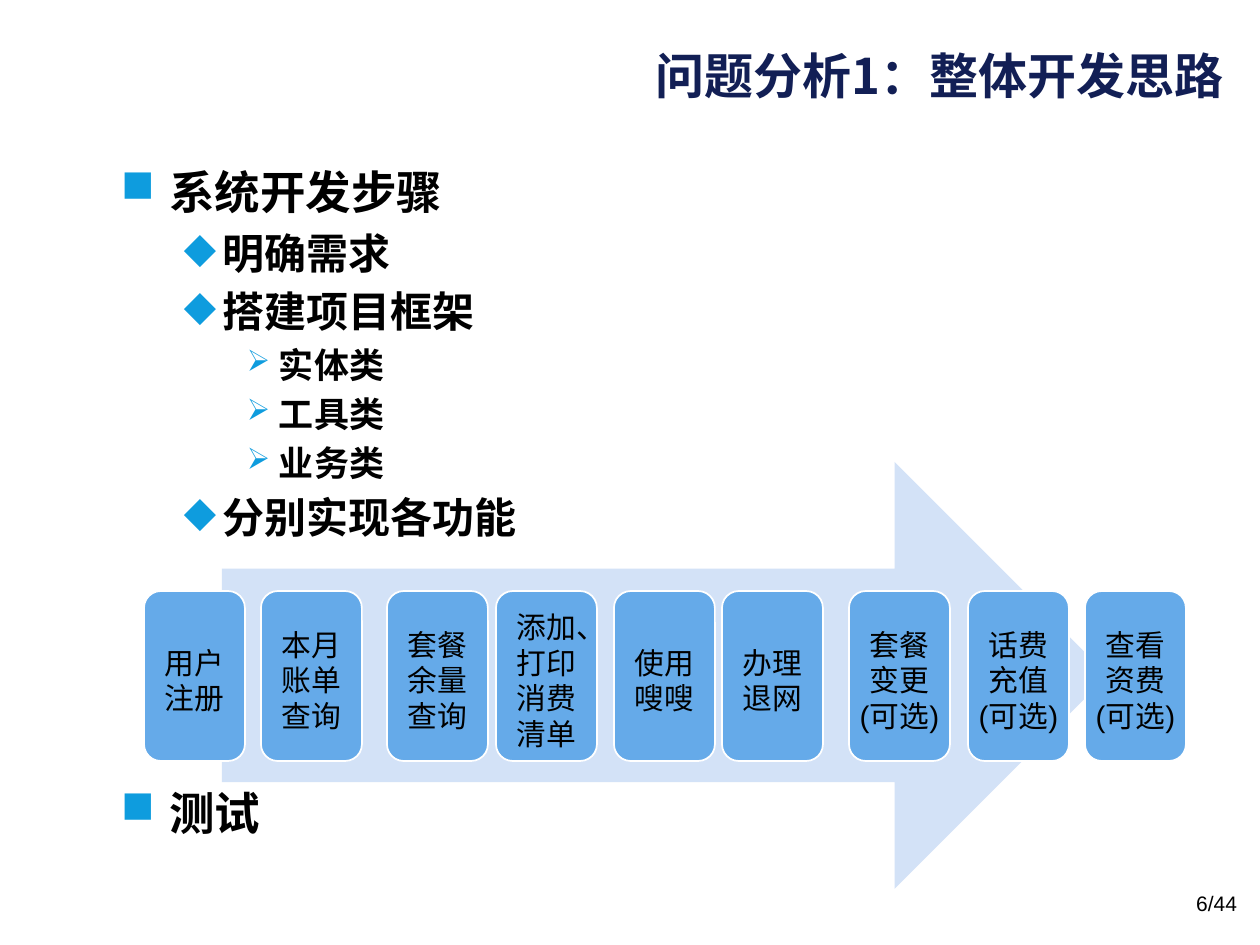
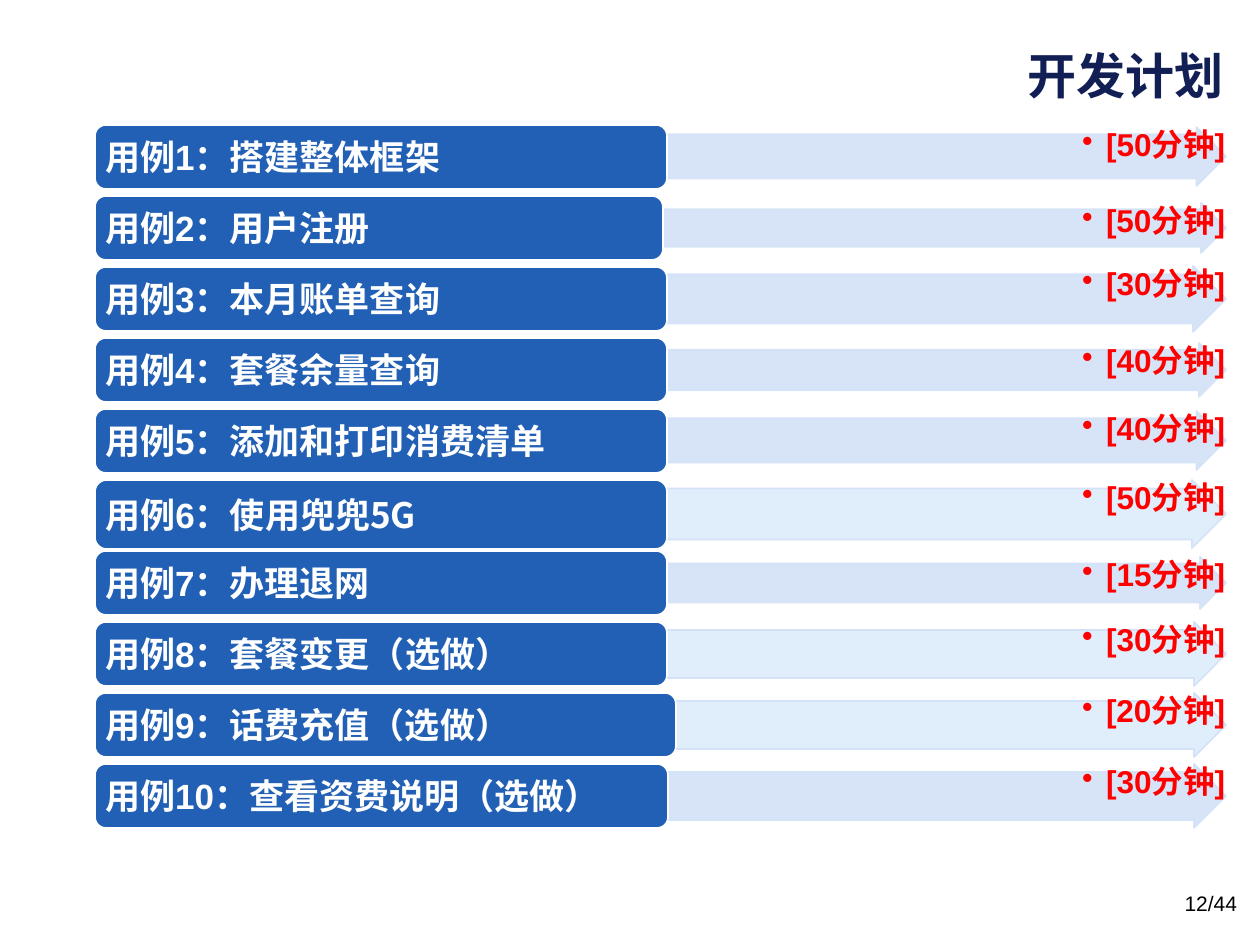
from pptx import Presentation
from pptx.dml.color import RGBColor
from pptx.enum.shapes import MSO_SHAPE
from pptx.enum.text import MSO_ANCHOR, PP_ALIGN
from pptx.oxml.ns import qn
from pptx.util import Emu, Pt
from lxml import etree

RECTANGLE = MSO_SHAPE.RECTANGLE
ROUNDED = MSO_SHAPE.ROUNDED_RECTANGLE
RIGHT_ARROW = MSO_SHAPE.RIGHT_ARROW
LEFT, CENTER, RIGHT = PP_ALIGN.LEFT, PP_ALIGN.CENTER, PP_ALIGN.RIGHT
TOP, MIDDLE = MSO_ANCHOR.TOP, MSO_ANCHOR.MIDDLE

PX_PER_INCH = 126
BODY_FONT, CJK_FONT = "Arial", "Noto Sans CJK SC"
WHITE, BLACK, RED = "FFFFFF", "000000", "FF0000"
NAVY, BULLET_BLUE = "121F55", "0E9CDE"
TILE_BLUE, PILL_BLUE = "65AAE9", "2160B4"
ARROW_BLUE, PALE_BLUE = "D3E2F7", "E0EEFB"
LINE_HEIGHT = 1.2
PAGE_COUNT = 44

# level: text size, left margin, hanging indent, bullet, bullet size in percent
OUTLINE_LEVELS = [
    (26, 48, 48, "■", 100),
    (24, 102, 39, "◆", 100),
    (20, 158, 32, "➢", 85),
]
OUTLINE = [
    (0, "系统开发步骤"),
    (1, "明确需求"),
    (1, "搭建项目框架"),
    (2, "实体类"),
    (2, "工具类"),
    (2, "业务类"),
    (1, "分别实现各功能"),
    (0, "测试"),
]
SPACE_FOR_PROCESS = 139

# left edge within the process region, label
PROCESS_TILES = [
    (0, "用户注册"),
    (117, "本月账单查询"),
    (243, "套餐余量查询"),
    (352, "添加、打印消费清单"),
    (470, "使用嗖嗖"),
    (578, "办理退网"),
    (705, "套餐变更(可选)"),
    (824, "话费充值(可选)"),
    (941, "查看资费(可选)"),
]

# name, name part in the CJK font, minutes, pill width, pill height, arrow height, arrow fill
USE_CASES = [
    ("搭建整体框架", "", 50, 572, 64, 59, ARROW_BLUE),
    ("用户注册", "", 50, 568, 64, 50, ARROW_BLUE),
    ("本月账单查询", "", 30, 572, 64, 66, ARROW_BLUE),
    ("套餐余量查询", "", 40, 572, 64, 54, ARROW_BLUE),
    ("添加和打印消费清单", "", 40, 572, 64, 59, ARROW_BLUE),
    ("使用", "兜兜5G", 50, 572, 69, 68, PALE_BLUE),
    ("办理退网", "", 15, 572, 64, 52, ARROW_BLUE),
    ("套餐变更（选做）", "", 30, 572, 64, 64, PALE_BLUE),
    ("话费充值（选做）", "", 20, 581, 64, 64, PALE_BLUE),
    ("查看资费说明（选做）", "", 30, 573, 64, 64, ARROW_BLUE),
]


def px(length):
    return Emu(round(length * 914400 / PX_PER_INCH))


def color(hex_string):
    return RGBColor.from_string(hex_string)


def add_child(parent, tag, **attributes):
    child = etree.SubElement(parent, qn(tag))
    for name, value in attributes.items():
        child.set(name, str(value))
    return child


def add_box(slide, kind, left, top, width, height, fill, line=None):
    shape = slide.shapes.add_shape(kind, px(left), px(top), px(width), px(height))
    shape.shadow.inherit = False
    shape.fill.solid()
    shape.fill.fore_color.rgb = color(fill)
    if line:
        shape.line.color.rgb = color(line)
        shape.line.width = Pt(1)
    else:
        shape.line.fill.background()
    return shape


def add_text_box(slide, left, top, width, height):
    return slide.shapes.add_textbox(px(left), px(top), px(width), px(height))


def set_frame(shape, anchor=TOP, insets=(13, 6, 13, 6)):
    """Insets run left, top, right, bottom."""
    frame = shape.text_frame
    frame.word_wrap = True
    frame.vertical_anchor = anchor
    (frame.margin_left, frame.margin_top,
     frame.margin_right, frame.margin_bottom) = map(px, insets)
    return frame


def format_run(run, size, hex_string, bold=False, font=BODY_FONT):
    run.font.size = Pt(size)
    run.font.bold = bold
    run.font.color.rgb = color(hex_string)
    run.font.name = font
    add_child(run._r.get_or_add_rPr(), "a:ea", typeface=CJK_FONT)


def write(paragraph, text, size, hex_string, align=LEFT, **style):
    paragraph.text = text
    paragraph.alignment = align
    format_run(paragraph.runs[0], size, hex_string, **style)


def add_bullet(paragraph, character, margin, hanging, hex_string, percent=100):
    properties = paragraph._p.get_or_add_pPr()
    properties.set("marL", str(px(margin)))
    properties.set("indent", str(-px(hanging)))
    bullet_color = add_child(properties, "a:buClr")
    add_child(bullet_color, "a:srgbClr", val=hex_string)
    add_child(properties, "a:buSzPct", val=percent * 1000)
    add_child(properties, "a:buChar", char=character)


def make_translucent(shape, percent):
    """Set the opacity of every colour in the fill and the line."""
    for element in shape._element.spPr.iter(qn("a:srgbClr")):
        add_child(element, "a:alpha", val=percent * 1000)


def add_title(slide, text, width):
    right_edge = 1236
    shape = add_box(slide, RECTANGLE, right_edge - width, 39, width, 72, WHITE)
    frame = set_frame(shape, MIDDLE)
    write(frame.paragraphs[0], text, 28, NAVY, RIGHT, bold=True, font=CJK_FONT)


def add_page_number(slide, number):
    frame = set_frame(add_text_box(slide, 956, 885, 294, 50))
    write(frame.paragraphs[0], f"{number}/{PAGE_COUNT}", 12, BLACK, RIGHT)


def add_outline(slide, left, top, width, height):
    frame = set_frame(add_text_box(slide, left, top, width, height))
    for index, (level, text) in enumerate(OUTLINE):
        size, margin, hanging, bullet, percent = OUTLINE_LEVELS[level]
        paragraph = frame.paragraphs[0] if index == 0 else frame.add_paragraph()
        write(paragraph, text, size, BLACK, bold=True)
        paragraph.level = level
        paragraph.line_spacing = Pt(size * LINE_HEIGHT)
        if index == len(OUTLINE) - 1:
            paragraph.space_before = Pt(SPACE_FOR_PROCESS)
        elif index > 0:
            paragraph.space_before = Pt(size * 0.2)
        add_bullet(paragraph, bullet, margin, hanging, BULLET_BLUE, percent)


def add_process(slide, left, top):
    add_box(slide, RIGHT_ARROW, left + 78, top, 886, 427, ARROW_BLUE)
    size = 17
    for offset, label in PROCESS_TILES:
        tile = add_box(slide, ROUNDED, left + offset, top + 129, 101, 170, TILE_BLUE, WHITE)
        frame = set_frame(tile, MIDDLE, (4, 8, 4, 0))
        write(frame.paragraphs[0], label, size, BLACK, CENTER)
        frame.paragraphs[0].line_spacing = Pt(size * LINE_HEIGHT)


def add_duration_arrow(slide, left, top, width, height, minutes, fill):
    arrow = add_box(slide, RIGHT_ARROW, left, top, width, height, fill, ARROW_BLUE)
    arrow.adjustments[0] = 0.75
    if fill == ARROW_BLUE:
        make_translucent(arrow, 90)
    frame = set_frame(add_text_box(slide, left, top, width, height), insets=(1, 1, 1, 1))
    paragraph = frame.paragraphs[0]
    write(paragraph, f"[{minutes}分钟]", 18, RED, RIGHT, bold=True)
    paragraph.line_spacing = 0.95
    add_bullet(paragraph, "•", 24, 24, RED)


def add_schedule(slide, left, top, width, pitch):
    for index, use_case in enumerate(USE_CASES):
        name, cjk_part, minutes, pill_width, pill_height, arrow_height, fill = use_case
        pill_top = top + index * pitch
        arrow_top = pill_top + (pill_height - arrow_height) // 2
        add_duration_arrow(slide, left + pill_width, arrow_top, width - pill_width,
                           arrow_height, minutes, fill)
        pill = add_box(slide, ROUNDED, left, pill_top, pill_width, pill_height,
                       PILL_BLUE, WHITE)
        paragraph = set_frame(pill, MIDDLE, (7, 0, 7, 0)).paragraphs[0]
        write(paragraph, f"用例{index + 1}：{name}", 20, WHITE, bold=True)
        if cjk_part:
            run = paragraph.add_run()
            run.text = cjk_part
            format_run(run, 20, WHITE, bold=True, font=CJK_FONT)


def add_slide(presentation, title, title_width, page):
    slide = presentation.slides.add_slide(presentation.slide_layouts[6])
    add_title(slide, title, title_width)
    add_page_number(slide, page)
    return slide


def main():
    presentation = Presentation()
    presentation.slide_width, presentation.slide_height = px(1260), px(945)

    steps_slide = add_slide(presentation, "问题分析1：整体开发思路", 635, 6)
    add_outline(steps_slide, 108, 158, 1053, 765)
    add_process(steps_slide, 144, 462)

    plan_slide = add_slide(presentation, "开发计划", 248, 12)
    add_schedule(plan_slide, 95, 125, 1131, 71)

    presentation.save("out.pptx")


if __name__ == "__main__":
    main()
